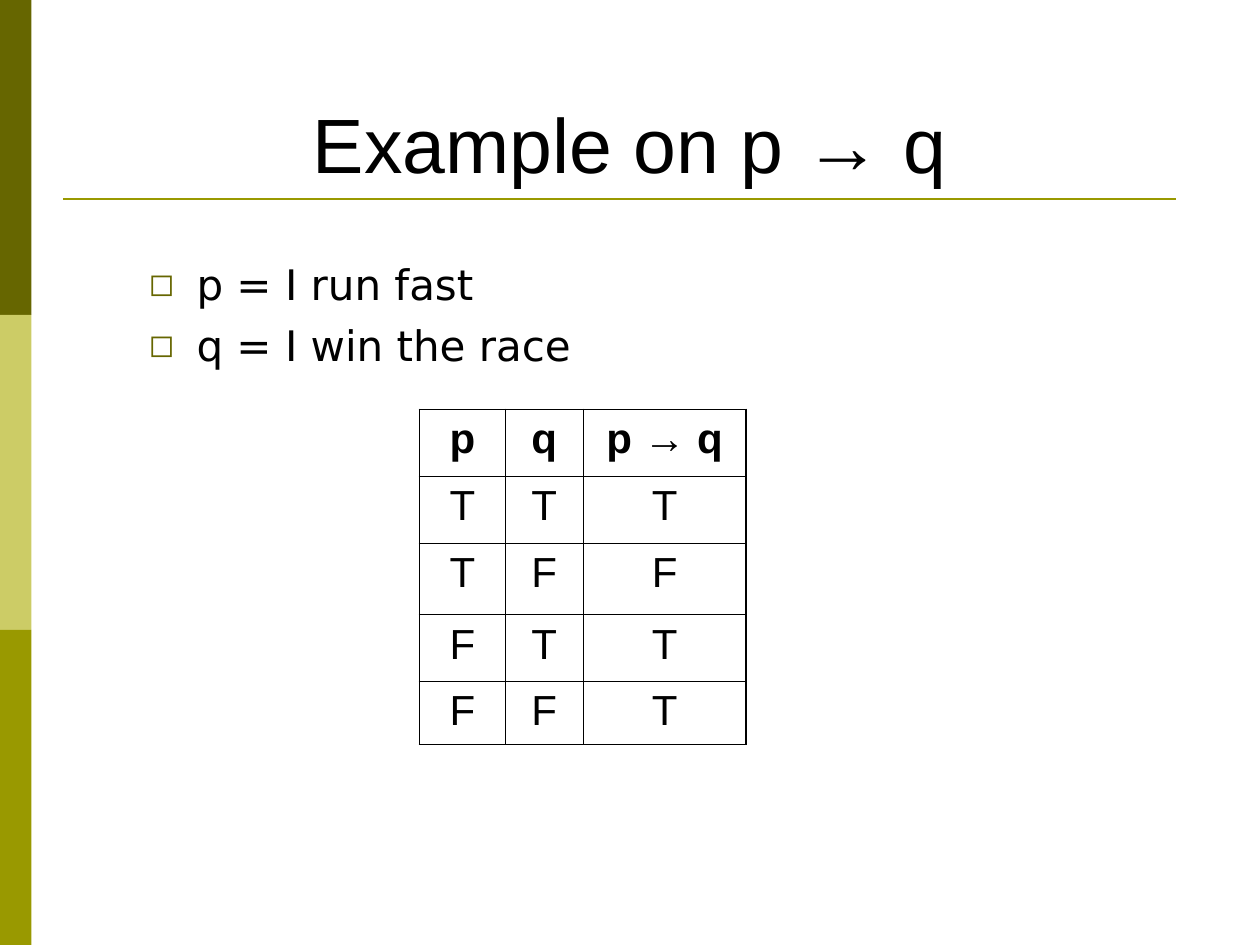
from lxml import etree
from pptx import Presentation
from pptx.dml import color
from pptx.enum import shapes, text
from pptx.oxml import ns
from pptx.util import Inches, Pt

BLACK = "000000"
OLIVE = "999900"
DARK_OLIVE = "666600"
LIGHT_OLIVE = "CCCC66"
THICK, THIN = 1.08, 0.45


def rgb(value):
    return color.RGBColor.from_string(value)


def add_xml(parent, tag, **attrs):
    return etree.SubElement(parent, ns.qn(tag), attrs)


class SlideBuilder:
    heading_font = "Arial"
    body_font = "DejaVu Sans"
    body_size = 24

    def __init__(self, prs):
        self.s = prs.slides.add_slide(prs.slide_layouts[1])

    def bar(self, x, y, w, h, fill):
        sp = self.s.shapes.add_shape(
            shapes.MSO_SHAPE.RECTANGLE, Inches(x), Inches(y), Inches(w), Inches(h))
        sp.shadow.inherit = False
        sp.fill.solid()
        sp.fill.fore_color.rgb = rgb(fill)
        sp.line.fill.background()

    def rule(self, x1, x2, y, line, width):
        c = self.s.shapes.add_connector(
            shapes.MSO_CONNECTOR.STRAIGHT, Inches(x1), Inches(y), Inches(x2), Inches(y))
        c.line.color.rgb = rgb(line)
        c.line.width = Pt(width)
        add_xml(c._element.spPr, "a:effectLst")

    def run(self, p, words, font, size, bold=False):
        r = p.add_run()
        r.text = words
        r.font.name = font
        r.font.size = Pt(size)
        r.font.bold = bold
        r.font.color.rgb = rgb(BLACK)

    def place(self, sp, x, y, w, h, anchor):
        sp.left, sp.top, sp.width, sp.height = map(Inches, (x, y, w, h))
        tf = sp.text_frame
        tf.word_wrap = True
        tf.auto_size = text.MSO_AUTO_SIZE.NONE
        tf.vertical_anchor = anchor
        return tf

    def title(self, words, x, y, w, h):
        tf = self.place(self.s.shapes.title, x, y, w, h, text.MSO_ANCHOR.BOTTOM)
        p = tf.paragraphs[0]
        p.alignment = text.PP_ALIGN.CENTER
        self.run(p, words, self.heading_font, 44)

    def bullets(self, items, x, y, w, h):
        tf = self.place(self.s.placeholders[1], x, y, w, h, text.MSO_ANCHOR.TOP)
        for i, item in enumerate(items):
            p = tf.add_paragraph() if i else tf.paragraphs[0]
            p.space_before = Pt(6 if i else 0)
            pPr = p._p.get_or_add_pPr()
            pPr.set("marL", str(Inches(0.38)))
            pPr.set("indent", str(-Inches(0.38)))
            add_xml(add_xml(pPr, "a:buClr"), "a:srgbClr", val=DARK_OLIVE)
            add_xml(pPr, "a:buSzPct", val="75000")
            add_xml(pPr, "a:buFont", typeface=self.body_font)
            add_xml(pPr, "a:buChar", char="◻")
            self.run(p, item, self.body_font, self.body_size)

    def borders(self, cell, **widths):
        tcPr = cell._tc.get_or_add_tcPr()
        for side in "LRTB":
            ln = add_xml(tcPr, f"a:ln{side}", w=str(Pt(widths[side])))
            add_xml(add_xml(ln, "a:solidFill"), "a:srgbClr", val=BLACK)

    def table(self, rows, x, y, widths, heights):
        tbl = self.s.shapes.add_table(
            len(rows), len(widths), Inches(x), Inches(y),
            Inches(sum(widths)), Inches(sum(heights))).table
        tbl.horz_banding = False
        for col, w in zip(tbl.columns, widths):
            col.width = Inches(w)
        for row, h in zip(tbl.rows, heights):
            row.height = Inches(h)
        for i, row in enumerate(rows):
            for j, words in enumerate(row):
                cell = tbl.cell(i, j)
                self.borders(
                    cell,
                    L=THIN if j else THICK,
                    R=THICK if j == len(row) - 1 else THIN,
                    T=THIN if i else THICK,
                    B=THICK if i == len(rows) - 1 else THIN)
                cell.fill.background()
                p = cell.text_frame.paragraphs[0]
                p.alignment = text.PP_ALIGN.CENTER
                self.run(p, words, self.heading_font, self.body_size, bold=i == 0)


def main():
    prs = Presentation()
    prs.slide_width, prs.slide_height = Inches(10), Inches(7.5)
    b = SlideBuilder(prs)
    for i, fill in enumerate((DARK_OLIVE, LIGHT_OLIVE, OLIVE)):
        b.bar(0, 2.5 * i, 0.25, 2.5, fill)
    b.rule(0.5, 9.33, 1.58, OLIVE, 1.5)
    b.title("Example on p → q", 0.5, 0.3, 9, 1.25)
    b.bullets(["p = I run fast", "q = I win the race"], 1.08, 2, 8, 4.95)
    truth_table = [("p", "q", "p → q"), "TTT", "TFF", "FTT", "FFT"]
    b.table(truth_table, 3.33, 3.25,
            [0.68, 0.62, 1.29], [0.53, 0.53, 0.57, 0.53, 0.5])
    prs.save("out.pptx")


if __name__ == "__main__":
    main()
